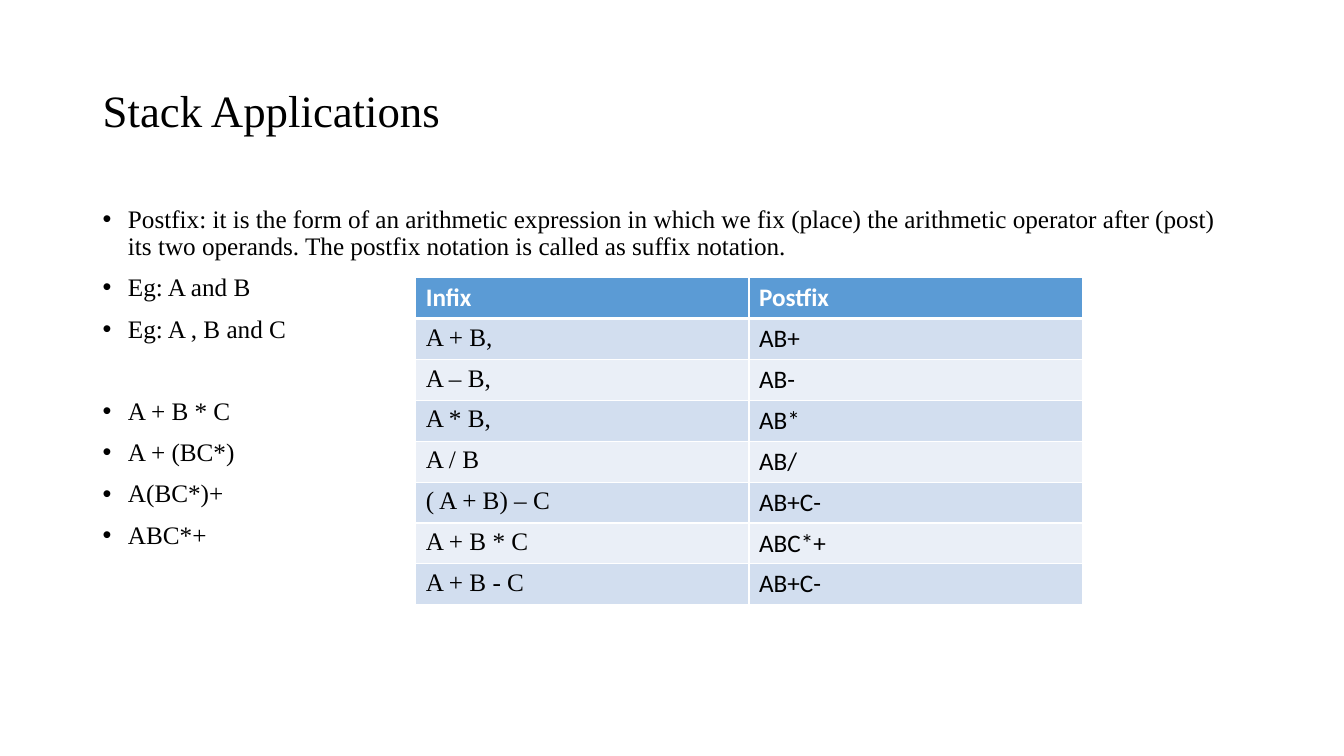
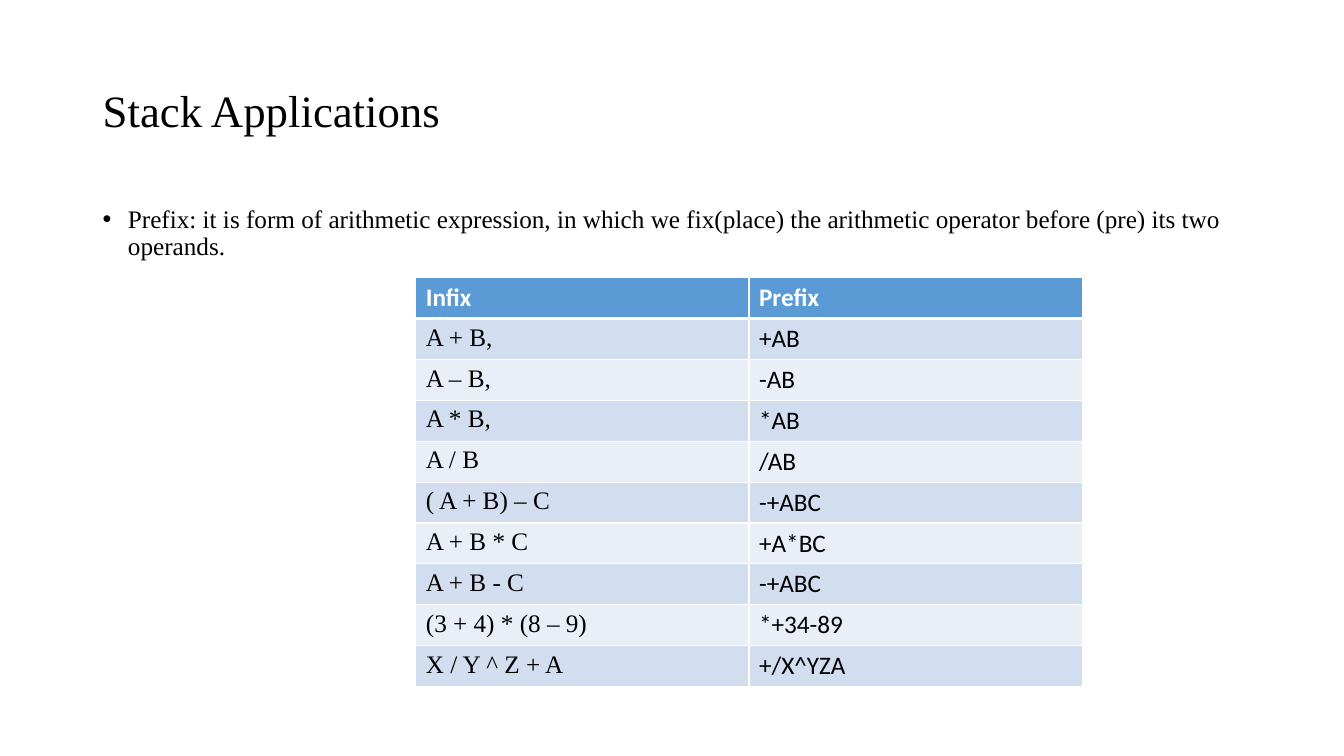
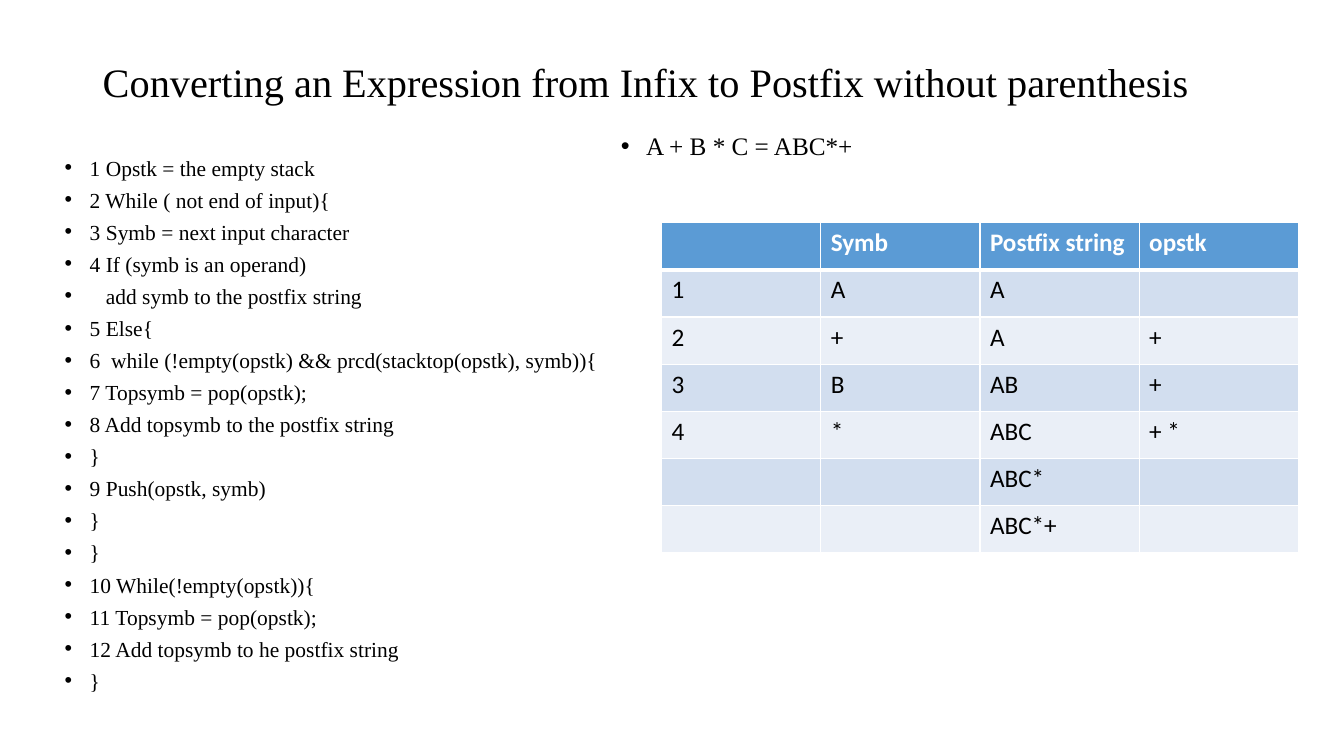
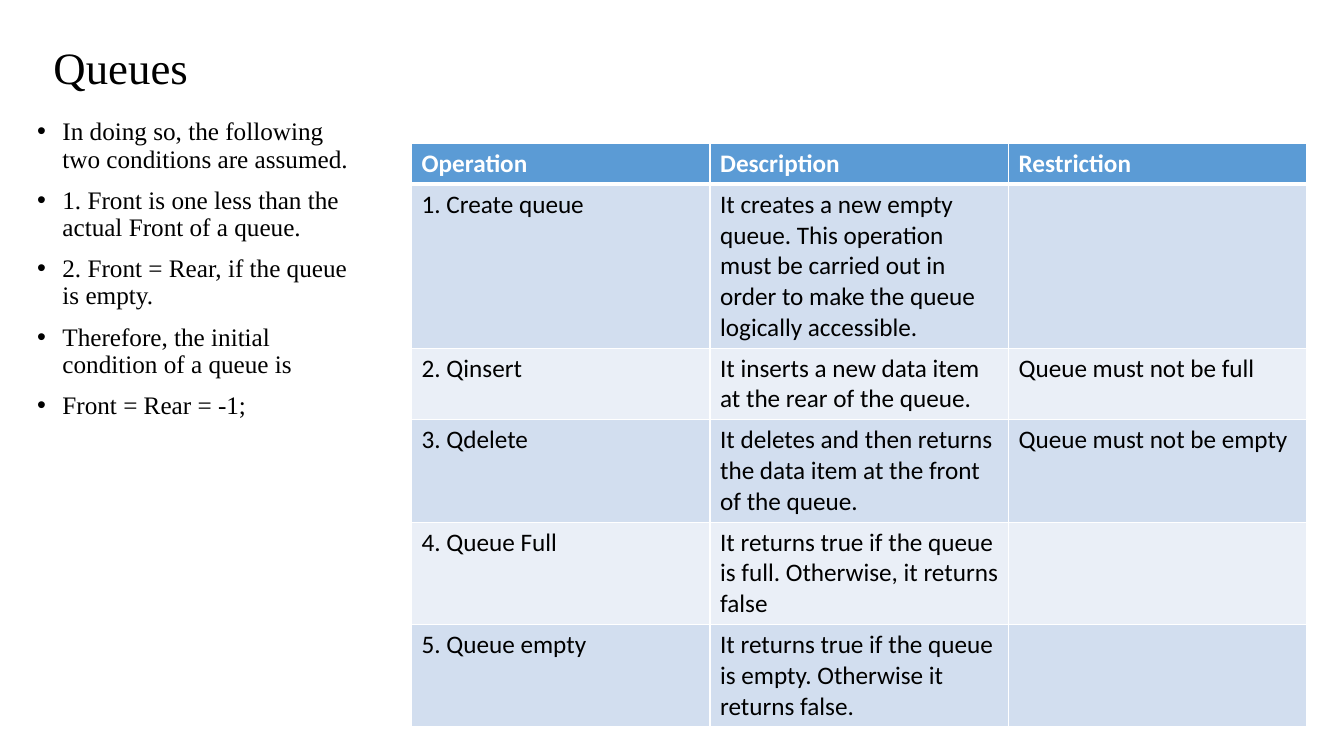
import pptx
import pptx.dml.color
import pptx.enum.text
import pptx.util
from lxml import etree
import pptx.oxml.ns

Pt = pptx.util.Pt
MSO_ANCHOR = pptx.enum.text.MSO_ANCHOR
PP_ALIGN = pptx.enum.text.PP_ALIGN
MSO_AUTO_SIZE = pptx.enum.text.MSO_AUTO_SIZE

COLORS = {
    "text": "000000",
    "header_text": "FFFFFF",
    "header": "5B9BD5",
    "odd_row": "D2DEEF",
    "even_row": "EAEFF7",
    "grid": "FFFFFF",
}
SERIF, SANS = "Times New Roman", "Calibri"
BULLET_INDENT = 18

LEFT, WIDTH = 66.2, 828
TITLE_BOX = (LEFT, 28.8, WIDTH, 104.4)
BODY_BOX = (LEFT, 144, WIDTH, 342.7)
NOTATION_COLUMN, NOTATION_ROW = 238, 29.2

INFIX = ["A + B,", "A – B,", "A * B,", "A / B", "( A + B) – C", "A + B * C", "A + B - C"]
POSTFIX = ["AB+", "AB-", "AB*", "AB/", "AB+C-", "ABC*+", "AB+C-"]
MORE_INFIX = ["(3 + 4) * (8 – 9)", "X / Y ^ Z + A"]
PREFIX = ["+AB", "-AB", "*AB", "/AB", "-+ABC", "+A*BC", "-+ABC", "*+34-89", "+/X^YZA"]

ALGORITHM = [
    "1 Opstk = the empty stack",
    "2 While ( not end of input){",
    "3 Symb = next input character",
    "4 If (symb is an operand)",
    "add symb to the postfix string",
    "5 Else{",
    "6  while (!empty(opstk) && prcd(stacktop(opstk), symb)){",
    "7 Topsymb = pop(opstk);",
    "8 Add topsymb to the postfix string",
    "}",
    "9 Push(opstk, symb)",
    "}",
    "}",
    "10 While(!empty(opstk)){",
    "11 Topsymb = pop(opstk);",
    "12 Add topsymb to he postfix string",
    "}",
]
TRACE = [
    ["", "Symb", "Postfix string", "opstk"],
    ["1", "A", "A", ""],
    ["2", "+", "A", "+"],
    ["3", "B", "AB", "+"],
    ["4", "*", "ABC", "+ *"],
    ["", "", "ABC*", ""],
    ["", "", "ABC*+", ""],
]
QUEUE_CONDITIONS = [
    "In doing so, the following two conditions are assumed.",
    "1. Front is one less than the actual Front of a queue.",
    "2. Front = Rear, if the queue is empty.",
    "Therefore, the initial condition of a queue is",
    "Front = Rear = -1;",
]
QUEUE_OPERATIONS = [
    ["Operation", "Description", "Restriction"],
    ["1. Create queue", "It creates a new empty queue. This operation must be carried out "
     "in order to make the queue logically accessible.", ""],
    ["2. Qinsert", "It inserts a new data item at the rear of the queue.",
     "Queue must not be full"],
    ["3. Qdelete", "It deletes and then returns the data item at the front of the queue.",
     "Queue must not be empty"],
    ["4. Queue Full", "It returns true if the queue is full. Otherwise, it returns false", ""],
    ["5. Queue empty", "It returns true if the queue is empty. Otherwise it returns false.", ""],
]


def set_attributes(target, values):
    for name, value in values.items():
        setattr(target, name, value)


def place(shape, box):
    set_attributes(shape, dict(zip(("left", "top", "width", "height"), map(Pt, box))))


def write(paragraph, text, size, font=SERIF, color="text", bold=False):
    run = paragraph.add_run()
    run.text = text
    set_attributes(run.font, {"name": font, "size": Pt(size), "bold": bold})
    run.font.color.rgb = pptx.dml.color.RGBColor.from_string(COLORS[color])


def add_titled_slide(deck, title, layout=1, box=TITLE_BOX, size=32):
    slide = deck.slides.add_slide(deck.slide_layouts[layout])
    heading = slide.shapes.title
    place(heading, box)
    set_attributes(heading.text_frame, {
        "auto_size": MSO_AUTO_SIZE.NONE, "vertical_anchor": MSO_ANCHOR.MIDDLE})
    paragraph = heading.text_frame.paragraphs[0]
    set_attributes(paragraph, {"alignment": PP_ALIGN.LEFT, "line_spacing": 0.9})
    write(paragraph, title, size)
    return slide


def fill_list(body, items, box, size=18, line_spacing=0.9, gaps=None, extra_indents=None):
    """Write bulleted items; gaps and extra_indents map an item's index to points."""
    place(body, box)
    frame = body.text_frame
    frame.auto_size = MSO_AUTO_SIZE.NONE
    for index, item in enumerate(items):
        paragraph = frame.add_paragraph() if index else frame.paragraphs[0]
        set_attributes(paragraph, {
            "line_spacing": line_spacing,
            "space_before": Pt((gaps or {}).get(index, 10)),
        })
        indent = Pt(BULLET_INDENT + (extra_indents or {}).get(index, 0))
        properties = paragraph._p.get_or_add_pPr()
        properties.set("marL", str(indent))
        properties.set("indent", str(-indent))
        write(paragraph, item, size)


def set_borders(cell, widths):
    """Draw the cell's edges; must run before the cell gets its fill."""
    properties = cell._tc.get_or_add_tcPr()
    for edge in ("lnL", "lnR", "lnT", "lnB"):
        line = etree.SubElement(properties, pptx.oxml.ns.qn(f"a:{edge}"),
                                w=str(Pt(widths.get(edge, 1))))
        paint = etree.SubElement(line, pptx.oxml.ns.qn("a:solidFill"))
        etree.SubElement(paint, pptx.oxml.ns.qn("a:srgbClr"), val=COLORS["grid"])


def add_grid(slide, rows, left, top, column_width, row_height,
             first_column_font=SANS, height=None):
    """Add a banded table; height is the frame's when text makes rows grow."""
    columns = len(rows[0])
    height = height or row_height * len(rows)
    frame = slide.shapes.add_table(len(rows), columns, Pt(left), Pt(top),
                                   Pt(column_width * columns), Pt(height))
    frame.table.horz_banding = False
    for row_index, texts in enumerate(rows):
        frame.table.rows[row_index].height = Pt(row_height)
        is_header = row_index == 0
        band = "header" if is_header else ("even_row", "odd_row")[row_index % 2]
        thick_edge = {0: {"lnB": 3}, 1: {"lnT": 3}}.get(row_index, {})
        for column, text in enumerate(texts):
            cell = frame.table.cell(row_index, column)
            set_borders(cell, thick_edge)
            cell.fill.solid()
            cell.fill.fore_color.rgb = pptx.dml.color.RGBColor.from_string(COLORS[band])
            if text:
                font = SANS if is_header or column else first_column_font
                write(cell.text_frame.paragraphs[0], text, 18, font,
                      "header_text" if is_header else "text", is_header)
    frame.height = Pt(height)


def add_notation_slide(deck, items, notation, infix, converted, gaps=None):
    slide = add_titled_slide(deck, "Stack Applications")
    fill_list(slide.placeholders[1], items, BODY_BOX, gaps=gaps)
    rows = [["Infix", notation], *zip(infix, converted)]
    add_grid(slide, rows, 297, 198.4, NOTATION_COLUMN, NOTATION_ROW, SERIF)


def add_conversion_slide(deck):
    slide = add_titled_slide(
        deck, "Converting an Expression from Infix to Postfix without parenthesis",
        layout=3, box=(LEFT, 28.8, WIDTH, 63.4), size=28.8)
    fill_list(slide.placeholders[2], ["A + B * C = ABC*+"], (436.3, 92.2, 505.4, 426.2))
    fill_list(slide.placeholders[1], ALGORITHM, (38.9, 112.3, 397.4, 406.1),
              size=15.3, line_spacing=0.7, extra_indents={4: 11.5})
    add_grid(slide, TRACE, 472.5, 159.1, 113.75, 33.7)


def add_queue_slide(deck):
    slide = add_titled_slide(deck, "Queues", box=(31, 11.5, WIDTH, 77))
    fill_list(slide.placeholders[1], QUEUE_CONDITIONS, (19.4, 81.4, 248.4, 321.8))
    add_grid(slide, QUEUE_OPERATIONS, 294, 102.4, 213.2, 29.2, height=411)


def main():
    deck = pptx.Presentation()
    set_attributes(deck, {"slide_width": Pt(960), "slide_height": Pt(540)})
    add_notation_slide(deck, [
        "Postfix: it is the form of an arithmetic expression in which we fix (place) the "
        "arithmetic operator after (post) its two operands. The postfix notation is called "
        "as suffix notation.",
        "Eg: A and B", "Eg: A , B and C", "A + B * C", "A + (BC*)", "A(BC*)+", "ABC*+",
    ], "Postfix", INFIX, POSTFIX, gaps={3: 39.4})
    add_notation_slide(deck, [
        "Prefix: it is form of arithmetic expression, in which we fix(place) the arithmetic "
        "operator before (pre) its two operands.",
    ], "Prefix", INFIX + MORE_INFIX, PREFIX)
    add_conversion_slide(deck)
    add_queue_slide(deck)
    deck.save("out.pptx")


if __name__ == "__main__":
    main()
